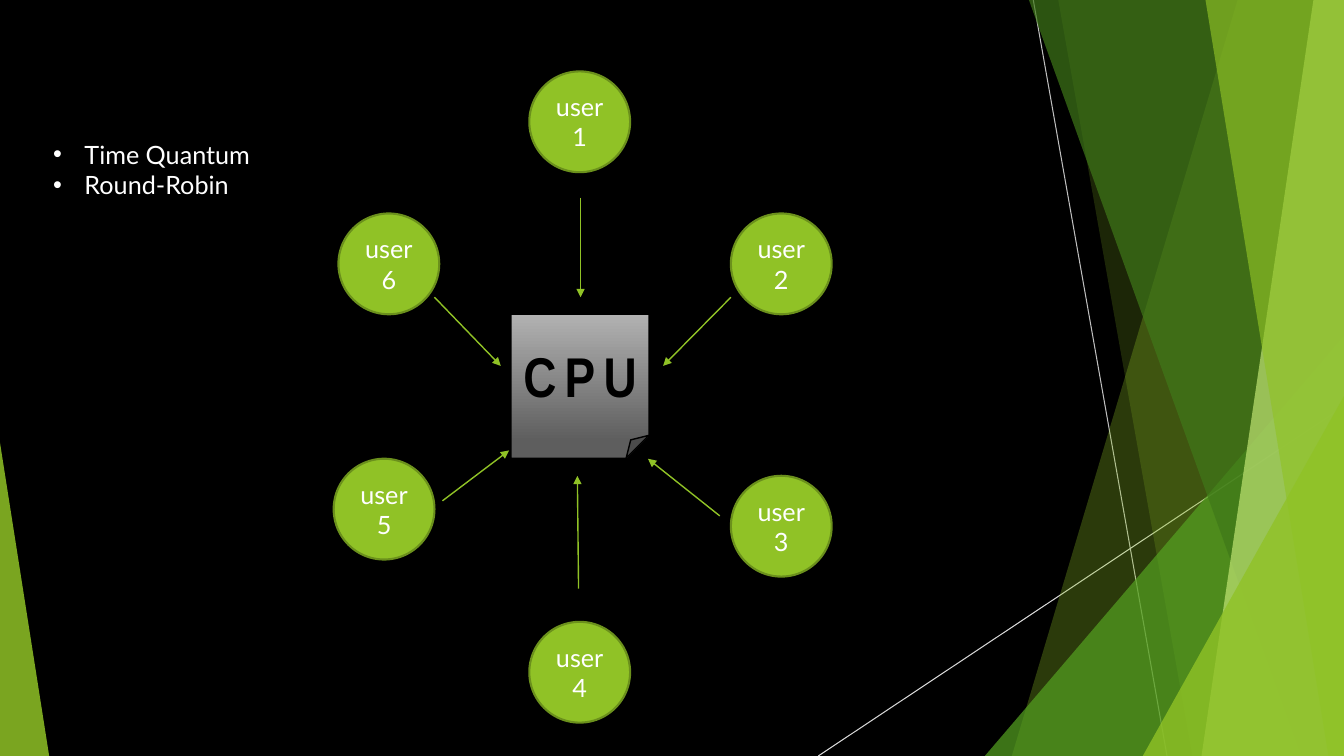
from dataclasses import dataclass

from pptx import Presentation
from pptx.dml.color import RGBColor
from pptx.enum.shapes import MSO_CONNECTOR as Connector, MSO_SHAPE as Shape
from pptx.enum.text import MSO_ANCHOR as Anchor, PP_ALIGN as Align
from pptx.oxml.ns import qn
from pptx.util import Cm, Pt
from lxml.etree import SubElement

WIDTH, HEIGHT = 33.87, 19.05


@dataclass(frozen=True)
class Theme:
    """Colours, fonts and type sizes of the slide."""
    black: str = "000000"
    white: str = "FFFFFF"
    green: str = "90C226"
    rim: str = "6B901C"
    forest: str = "54A021"
    moss: str = "3F7819"
    lime: str = "C0E474"
    grey: str = "BFBFBF"
    pale: str = "D9D9D9"
    chip_top: str = "B2B2B2"
    chip_bottom: str = "5E5E5E"
    body_font: str = "Lato"
    chip_font: str = "Arial Narrow"
    body_size: int = 18
    chip_size: int = 40


class Deck:
    """Holds the theme and the current slide, and draws on it."""

    def __init__(self, slide, theme):
        """Keep slide and theme, and paint the background."""
        self.s, self.theme = slide, theme
        self.paint(slide.background.fill, theme.black)

    def paint(self, fill, color, alpha=None):
        """Set a solid fill, with opacity in percent if given."""
        fill.solid()
        fill.fore_color.rgb = RGBColor.from_string(color)
        if alpha is not None:
            rgb = fill._xPr.find(".//" + qn("a:srgbClr"))
            SubElement(rgb, qn("a:alpha"), val=str(alpha * 1000))

    def outline(self, line, color, width):
        """Set colour and width of a line."""
        self.paint(line.fill, color)
        line.width = Pt(width)

    def run(self, p, text, font, size, color, bold=False):
        """Add one styled run to a paragraph."""
        r = p.add_run()
        r.text = text
        r.font.name, r.font.size, r.font.bold = font, Pt(size), bold
        r.font.color.rgb = RGBColor.from_string(color)
        return r

    def shape(self, kind, *box):
        """Add a preset shape without shadow."""
        sp = self.s.shapes.add_shape(kind, *map(Cm, box))
        sp.shadow.inherit = False
        return sp

    def line(self, start, end, color, width, arrow=False):
        """Add a straight line, with an arrowhead at its end if asked."""
        sp = self.s.shapes.add_connector(Connector.STRAIGHT, *map(Cm, start + end))
        self.outline(sp.line, color, width)
        if arrow:
            SubElement(sp.line._get_or_add_ln(), qn("a:tailEnd"), type="triangle")
        SubElement(sp._element.spPr, qn("a:effectLst"))

    def shard(self, top, bottom, color, alpha):
        """Add a full-height shard that reaches the right edge."""
        points = [(WIDTH, 0), (WIDTH, HEIGHT), (bottom, HEIGHT)]
        builder = self.s.shapes.build_freeform(Cm(top), 0)
        builder.add_line_segments([(Cm(x), Cm(y)) for x, y in points])
        sp = builder.convert_to_shape()
        sp.shadow.inherit = False
        self.paint(sp.fill, color, alpha)
        sp.line.fill.background()

    def corner(self, left, top, right, apex, color, alpha):
        """Add a triangle that stands on the bottom edge."""
        sp = self.shape(Shape.ISOSCELES_TRIANGLE, left, top, right - left, HEIGHT - top)
        sp.adjustments[0] = apex
        self.paint(sp.fill, color, alpha)
        sp.line.fill.background()

    def label(self, sp, *run_style):
        """Write one centred run in a shape."""
        tf = sp.text_frame
        tf.vertical_anchor = Anchor.MIDDLE
        tf.paragraphs[0].alignment = Align.CENTER
        return self.run(tf.paragraphs[0], *run_style)

    def user(self, text, left, top):
        """Add a user circle."""
        t = self.theme
        sp = self.shape(Shape.OVAL, left, top, 2.54, 2.54)
        self.paint(sp.fill, t.green)
        self.outline(sp.line, t.rim, 1.5)
        sp.text_frame.word_wrap = True
        self.label(sp, text, t.body_font, t.body_size, t.white)

    def chip(self, text, *box):
        """Add the shaded processor with spaced lettering."""
        t = self.theme
        sp = self.shape(Shape.FOLDED_CORNER, *box)
        sp.fill.gradient()
        sp.fill.gradient_angle = 270
        shades = [(0, t.chip_top), (0.88, t.chip_bottom)]
        for stop, (position, color) in zip(sp.fill.gradient_stops, shades):
            stop.position = position
            stop.color.rgb = RGBColor.from_string(color)
        self.outline(sp.line, t.black, 1)
        sp.text_frame.word_wrap = False
        r = self.label(sp, text, t.chip_font, t.chip_size, t.black, True)
        r.font._element.set("spc", "600")

    def bullets(self, items, *box):
        """Add a bulleted text box."""
        t = self.theme
        tf = self.s.shapes.add_textbox(*map(Cm, box)).text_frame
        tf.word_wrap = True
        for i, item in enumerate(items):
            p = tf.add_paragraph() if i else tf.paragraphs[0]
            pPr = p._p.get_or_add_pPr()
            pPr.set("marL", str(Cm(0.79)))
            pPr.set("indent", str(Cm(-0.79)))
            SubElement(pPr, qn("a:buFont"), typeface="Arial")
            SubElement(pPr, qn("a:buChar"), char="•")
            self.run(p, item, t.body_font, t.body_size, t.white)


def draw_backdrop(deck):
    """Draw the thin lines and translucent green facets."""
    t = deck.theme
    deck.line((26.04, 0), (29.41, HEIGHT), t.grey, 0.75)
    deck.line((WIDTH, 10.24), (20.62, HEIGHT), t.pale, 0.75)
    deck.shard(31.19, 25.5, t.green, 30)
    deck.shard(26.67, 30.05, t.green, 20)
    deck.corner(24.82, 8.46, WIDTH, 1, t.forest, 72)
    deck.shard(25.93, 32.79, t.moss, 70)
    deck.shard(33.1, 30.28, t.lime, 70)
    deck.shard(30.38, 33.48, t.green, 65)
    deck.corner(28.8, 9.98, WIDTH, 1, t.green, 80)
    deck.corner(0, 11.15, 1.24, 0, t.green, 85)


def draw_time_sharing(deck):
    """Draw the users around the processor, each with an arrow to it."""
    users = [  # circle corner, arrow start, arrow end
        ((13.34, 1.8), (14.63, 4.98), (14.63, 7.49)),
        ((18.42, 5.38), (18.42, 7.49), (16.71, 9.22)),
        ((18.42, 11.99), (18.14, 13), (16.33, 11.56)),
        ((13.34, 15.67), (14.58, 14.83), (14.55, 11.99)),
        ((8.41, 11.56), (11.15, 12.62), (12.83, 11.35)),
        ((8.53, 5.38), (10.95, 7.49), (12.62, 9.22)),
    ]
    deck.chip("CPU", 12.88, 7.92, 3.48, 3.63)
    for number, (corner, start, end) in enumerate(users, 1):
        deck.user(f"user{number}", *corner)
        deck.line(start, end, deck.theme.green, 1, arrow=True)
    deck.bullets(["Time Quantum", "Round-Robin"], 1.09, 3.38, 6.25, 1.8)


prs = Presentation()
prs.slide_width, prs.slide_height = Cm(WIDTH), Cm(HEIGHT)
deck = Deck(prs.slides.add_slide(prs.slide_layouts[6]), Theme())
draw_backdrop(deck)
draw_time_sharing(deck)
prs.save("out.pptx")
